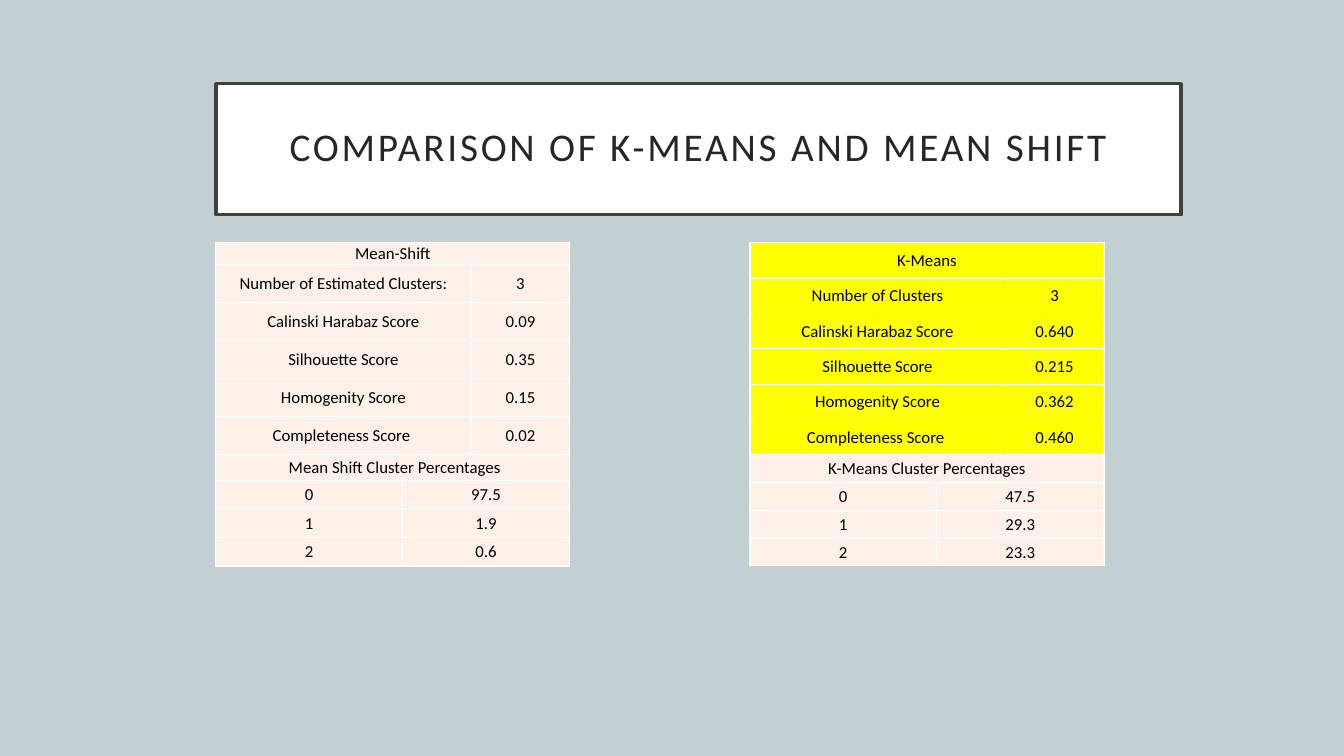
from lxml import etree
from pptx import Presentation
from pptx.dml.color import RGBColor
from pptx.enum.shapes import MSO_SHAPE
from pptx.enum.text import MSO_ANCHOR, PP_ALIGN
from pptx.oxml.ns import qn
from pptx.util import Cm, Pt

RECTANGLE = MSO_SHAPE.RECTANGLE
MIDDLE = MSO_ANCHOR.MIDDLE
CENTER = PP_ALIGN.CENTER

COLORS = {
    "background": "C3CFD3",
    "white": "FFFFFF",
    "frame": "404040",
    "title": "262626",
    "text": "000000",
    "plain": "FDF0E8",
    "highlight": "FFFF00",
}
FONT = "Calibri"

TITLE = "COMPARISON OF K-MEANS AND MEAN SHIFT"
MEAN_SHIFT_SCORES = [
    ("Mean-Shift", ""),
    ("Number of Estimated Clusters:", "3"),
    ("Calinski Harabaz Score", "0.09"),
    ("Silhouette Score", "0.35"),
    ("Homogenity Score", "0.15"),
    ("Completeness Score ", "0.02"),
]
MEAN_SHIFT_PERCENTAGES = [
    (" Mean Shift Cluster Percentages", ""),
    ("0", "97.5"),
    ("1", "1.9"),
    ("2", "0.6"),
]
K_MEANS_SCORES = [
    ("K-Means", ""),
    ("Number of Clusters", "3"),
    ("Calinski Harabaz Score", "0.640"),
    ("Silhouette Score", "0.215"),
    ("Homogenity Score", "0.362"),
    ("Completeness Score ", "0.460"),
]
K_MEANS_PERCENTAGES = [
    ("K-Means Cluster Percentages", ""),
    ("0", "47.5"),
    ("1", "29.3"),
    ("2", "23.3"),
]

# Lengths in centimetres
LEFT_COLUMN, RIGHT_COLUMN = 5.44, 18.9
SCORES_TOP, PERCENTAGES_TOP = 6.12, 11.46
SCORE_WIDTHS, PERCENTAGE_WIDTHS = (6.43, 2.49), (4.7, 4.22)

# rows, left, top, column widths, heading height, row height, fill
TABLES = [
    (MEAN_SHIFT_SCORES, LEFT_COLUMN, SCORES_TOP, SCORE_WIDTHS, 0.53, 0.96, "plain"),
    (MEAN_SHIFT_PERCENTAGES, LEFT_COLUMN, PERCENTAGES_TOP, PERCENTAGE_WIDTHS, 0.64, 0.72, "plain"),
    (K_MEANS_SCORES, RIGHT_COLUMN, SCORES_TOP, SCORE_WIDTHS, 0.89, 0.89, "highlight"),
    (K_MEANS_PERCENTAGES, RIGHT_COLUMN, PERCENTAGES_TOP, PERCENTAGE_WIDTHS, 0.7, 0.7, "plain"),
]


def rgb(name):
    return RGBColor.from_string(COLORS[name])


def write(frame, text, size=12, color="text", letter_spacing=0, line_spacing=1.0):
    paragraph = frame.paragraphs[0]
    paragraph.alignment = CENTER
    paragraph.line_spacing = line_spacing
    run = paragraph.add_run()
    run.text = text
    run.font.name = FONT
    run.font.size = Pt(size)
    run.font.bold = False
    run.font.color.rgb = rgb(color)
    if letter_spacing:
        run.font._element.set("spc", str(letter_spacing * 100))


def set_margins(box, side, bottom):
    box.margin_left = box.margin_right = box.margin_top = Cm(side)
    box.margin_bottom = Cm(bottom)


def add_borders(cell):
    properties = cell._tc.get_or_add_tcPr()
    for side in ("a:lnL", "a:lnR", "a:lnT", "a:lnB"):
        line = etree.SubElement(properties, qn(side), w=str(Pt(1)))
        fill = etree.SubElement(line, qn("a:solidFill"))
        etree.SubElement(fill, qn("a:srgbClr"), val=COLORS["white"])


def add_title(slide):
    title = slide.shapes.add_shape(RECTANGLE, Cm(LEFT_COLUMN), Cm(2.11), Cm(24.33), Cm(3.3))
    title.shadow.inherit = False
    title.fill.solid()
    title.fill.fore_color.rgb = rgb("white")
    title.line.color.rgb = rgb("frame")
    title.line.width = Pt(2.5)
    frame = title.text_frame
    frame.word_wrap = True
    frame.vertical_anchor = MIDDLE
    set_margins(frame, 0.5, 0.5)
    write(frame, TITLE, size=28, color="title", letter_spacing=2, line_spacing=0.9)


def add_results(slide, rows, left, top, widths, heading_height, row_height, fill):
    """Add a two-column table whose first row is a heading across both columns."""
    heights = [heading_height] + [row_height] * (len(rows) - 1)
    table = slide.shapes.add_table(
        len(rows), len(widths), Cm(left), Cm(top), Cm(sum(widths)), Cm(sum(heights))
    ).table
    table.first_row = table.horz_banding = False
    for column, width in zip(table.columns, widths):
        column.width = Cm(width)
    table.cell(0, 0).merge(table.cell(0, 1))
    for table_row, height, texts in zip(table.rows, heights, rows):
        table_row.height = Cm(height)
        for cell, text in zip(table_row.cells, texts):
            add_borders(cell)
            cell.fill.solid()
            cell.fill.fore_color.rgb = rgb(fill)
            cell.vertical_anchor = MIDDLE
            set_margins(cell, 0.02, 0)
            write(cell.text_frame, text)


def main():
    deck = Presentation()
    deck.slide_width, deck.slide_height = Cm(33.87), Cm(19.05)
    slide = deck.slides.add_slide(deck.slide_layouts[6])
    slide.background.fill.solid()
    slide.background.fill.fore_color.rgb = rgb("background")
    add_title(slide)
    for results in TABLES:
        add_results(slide, *results)
    deck.save("out.pptx")


if __name__ == "__main__":
    main()
